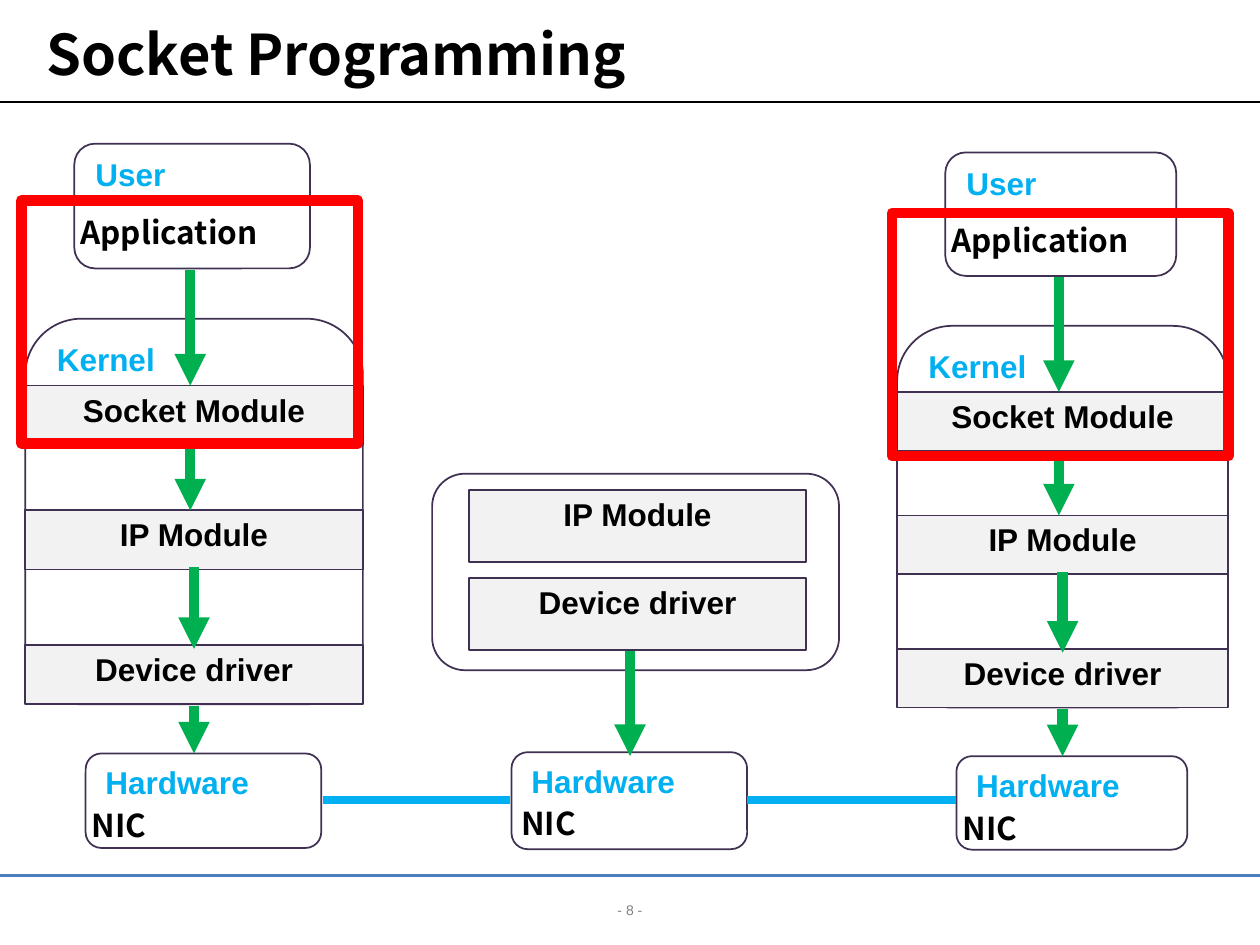
"""Build the Socket Programming slide: two hosts joined through a router."""
import pptx
import pptx.util
import pptx.dml.color
import pptx.enum.shapes
import pptx.enum.text
import pptx.oxml.ns
from lxml import etree

Inches, Pt = pptx.util.Inches, pptx.util.Pt
SHAPE = pptx.enum.shapes.MSO_SHAPE
ALIGN = pptx.enum.text.PP_ALIGN
ANCHOR = pptx.enum.text.MSO_ANCHOR
CJK = "Noto Sans CJK KR"
COLORS = {
    "black": "000000", "grey": "808080", "panel": "F2F2F2", "outline": "403152",
    "label": "00B0F0", "arrow": "00B050", "frame": "FF0000", "footer": "4B7EBC",
}


def rgb(name):
    return pptx.dml.color.RGBColor.from_string(COLORS[name])


def write(tf, text, size=18, font="Arial", color="black", bold=True,
          align=ALIGN.LEFT, anchor=ANCHOR.TOP):
    tf.word_wrap = True
    tf.vertical_anchor = anchor
    p = tf.paragraphs[0]
    p.alignment = align
    r = p.add_run()
    r.text = text
    r.font.size, r.font.name, r.font.bold = Pt(size), font, bold
    r.font.color.rgb = rgb(color)
    rPr = r.font._element
    etree.SubElement(rPr, pptx.oxml.ns.qn("a:ea")).set("typeface", font)


def add_text(slide, box, text, **fmt):
    sp = slide.shapes.add_textbox(*map(Inches, box))
    write(sp.text_frame, text, **fmt)


def add_box(slide, box, text=None, kind=SHAPE.RECTANGLE, fill=None,
            line="outline", width=1, **fmt):
    sp = slide.shapes.add_shape(kind, *map(Inches, box))
    sp.shadow.inherit = False
    if fill:
        sp.fill.solid()
        sp.fill.fore_color.rgb = rgb(fill)
    else:
        sp.fill.background()
    sp.line.color.rgb = rgb(line)
    sp.line.width = Pt(width)
    if text:
        tf = sp.text_frame
        tf.margin_left = tf.margin_right = Inches(0.12)
        tf.margin_top = tf.margin_bottom = Inches(0.04)
        write(tf, text, **fmt)


def add_rounded(slide, box, text=None):
    add_box(slide, box, text, kind=SHAPE.ROUNDED_RECTANGLE, color="label")


def add_module(slide, box, text):
    add_box(slide, box, text, fill="panel", align=ALIGN.CENTER)


def add_line(slide, start, end, color, width, arrow=False):
    cx = slide.shapes.add_connector(
        pptx.enum.shapes.MSO_CONNECTOR.STRAIGHT, *map(Inches, (*start, *end)))
    cx.line.color.rgb = rgb(color)
    cx.line.width = Pt(width)
    if arrow:
        tail = etree.SubElement(cx.line._get_or_add_ln(), pptx.oxml.ns.qn("a:tailEnd"))
        tail.set("type", "triangle")
    etree.SubElement(cx._element.spPr, pptx.oxml.ns.qn("a:effectLst"))


def add_arrow(slide, start, end):
    add_line(slide, start, end, "arrow", 6, arrow=True)


def add_host(slide, left, top, sx=1, sy=1):
    def at(x, y):
        return left + x * sx, top + y * sy

    def area(x, y, w, h):
        return (*at(x, y), w * sx, h * sy)

    add_rounded(slide, area(0.39, 0, 1.87, 0.99), "User")
    add_text(slide, area(0.34, 0.5, 1.74, 0.39), "Application", font=CJK)
    add_rounded(slide, area(0.48, 4.84, 1.87, 0.75), "Hardware")
    add_text(slide, area(0.43, 5.21, 1.74, 0.39), "NIC", font=CJK)
    add_rounded(slide, area(0, 1.39, 2.68, 3.06), "Kernel")
    for y, name in ((1.92, "Socket Module"), (2.91, "IP Module"), (3.98, "Device driver")):
        add_module(slide, area(0, y, 2.68, 0.47), name)
    for x, y1, y2 in ((1.31, 1, 1.92), (1.31, 2.39, 2.91),
                      (1.34, 3.36, 4.01), (1.34, 4.46, 4.84)):
        add_arrow(slide, at(x, y1), at(x, y2))


def add_router(slide):
    add_rounded(slide, (3.43, 3.76, 3.23, 1.56))
    for y, name in ((3.89, "IP Module"), (4.59, "Device driver")):
        add_module(slide, (3.72, y, 2.68, 0.57), name)
    add_rounded(slide, (4.06, 5.97, 1.87, 0.77), "Hardware")
    add_text(slide, (4.04, 6.33, 1.74, 0.4), "NIC", font=CJK)
    add_arrow(slide, (5, 5.17), (5, 6))


def main():
    prs = pptx.Presentation()
    prs.slide_width, prs.slide_height = Inches(10), Inches(7.5)
    slide = prs.slides.add_slide(prs.slide_layouts[6])
    add_line(slide, (0, 0.81), (10, 0.81), "black", 0.75)
    add_line(slide, (0, 6.95), (10, 6.95), "footer", 1.5)
    add_text(slide, (0, 7.11, 10, 0.24), "- 8 -", size=8, color="grey",
             bold=False, align=ALIGN.CENTER)
    add_text(slide, (0.27, 0.21, 9.39, 0.42), "Socket Programming", size=32,
             font=CJK, anchor=ANCHOR.MIDDLE)
    add_host(slide, 0.2, 1.14)
    add_host(slide, 7.12, 1.21, sx=0.98, sy=0.99)
    add_router(slide)
    for x1, x2 in ((2.56, 4.05), (5.93, 7.59)):
        add_line(slide, (x1, 6.35), (x2, 6.35), "label", 4.5)
    for x, y in ((0.17, 1.59), (7.08, 1.69)):
        add_box(slide, (x, y, 2.67, 1.93), line="frame", width=6)
    prs.save("out.pptx")


main()
